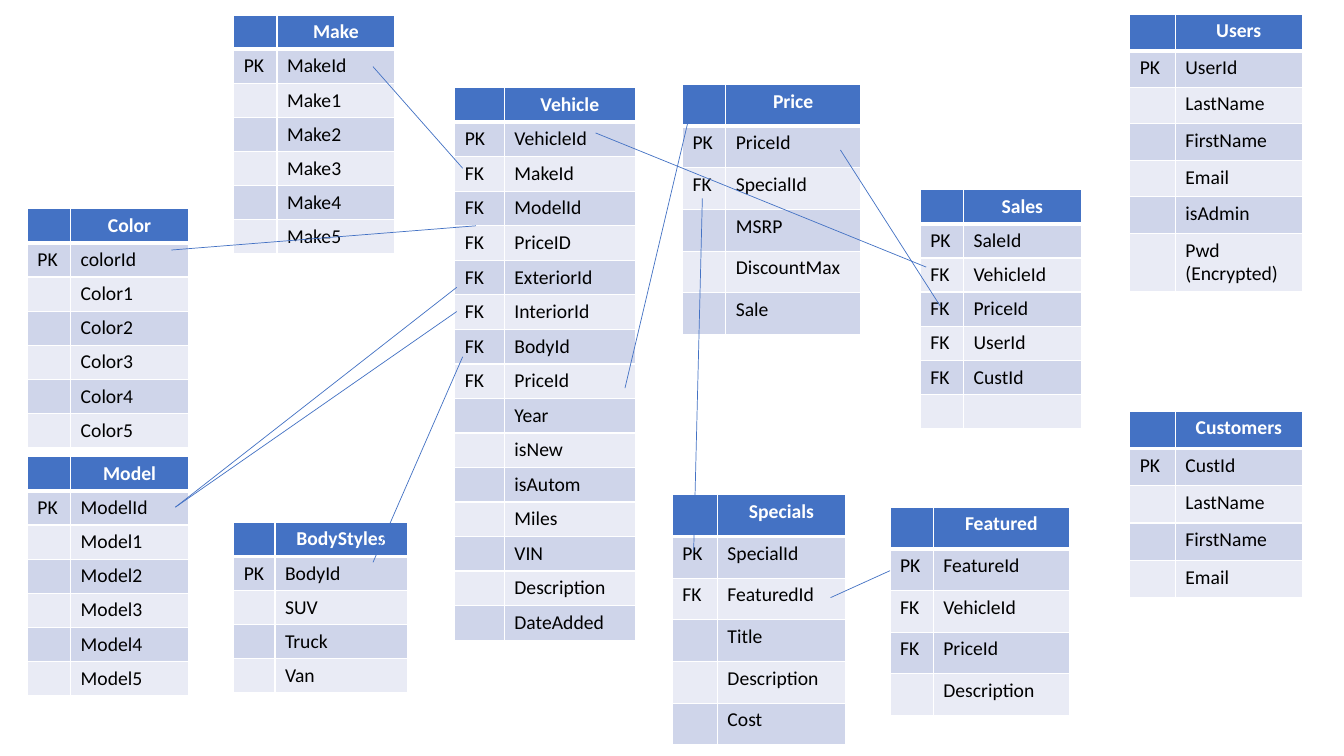
from dataclasses import dataclass
from lxml import etree
from pptx import Presentation, util as u
from pptx.dml.color import RGBColor
from pptx.enum import shapes, text
from pptx.oxml.ns import qn


@dataclass(frozen=True)
class Theme:
    font: str = "Calibri"
    size: int = 14
    blue: str = "4472C4"
    bands: tuple = ("CFD5EA", "E9EBF5")
    white: str = "FFFFFF"
    black: str = "000000"
    grid: float = 1
    header_rule: float = 3
    link: float = 0.5


T = Theme()


def rgb(value):
    return RGBColor.from_string(value)


def set_borders(cell, top, bottom):
    tc_pr = cell._tc.get_or_add_tcPr()
    sides = (("L", T.grid), ("R", T.grid), ("T", top), ("B", bottom))
    for i, (side, width) in enumerate(sides):
        ln = etree.Element(qn(f"a:ln{side}"), w=str(u.Pt(width)))
        fill = etree.SubElement(ln, qn("a:solidFill"))
        etree.SubElement(fill, qn("a:srgbClr"), val=T.white)
        tc_pr.insert(i, ln)


def write(cell, words, color, bold=False, align=None):
    p = cell.text_frame.paragraphs[0]
    if not words:
        p._p.get_or_add_endParaRPr().set("sz", str(T.size * 100))
        return
    p.alignment = align
    r = p.add_run()
    r.text = words
    r.font.name, r.font.size, r.font.bold = T.font, u.Pt(T.size), bold
    r.font.color.rgb = rgb(color)


def add_entity(s, box, name, fields, keys=1, last_height=None):
    x, y, key_width, name_width, row_height = box
    rows = len(fields) + 1
    frame = s.shapes.add_table(rows, 2, u.Cm(x), u.Cm(y),
                               u.Cm(key_width + name_width), u.Cm(row_height * rows))
    table = frame.table
    for column, width in zip(table.columns, (key_width, name_width)):
        column.width = u.Cm(width)
    for row in table.rows:
        row.height = u.Cm(row_height)
    if last_height:
        table.rows[rows - 1].height = u.Cm(last_height)

    labels = ["PK"] + ["FK"] * (keys - 1) + [""] * (len(fields) - keys)
    for i, values in enumerate([("", name), *zip(labels, fields)]):
        header = i == 0
        for j, words in enumerate(values):
            cell = table.cell(i, j)
            cell.fill.solid()
            cell.fill.fore_color.rgb = rgb(T.blue if header else T.bands[(i - 1) % 2])
            set_borders(cell, T.header_rule if i == 1 else T.grid,
                        T.header_rule if header else T.grid)
            if header:
                write(cell, words, T.white, True, text.PP_ALIGN.CENTER)
            else:
                write(cell, words, T.black)


def add_link(s, x1, y1, x2, y2):
    line = s.shapes.add_connector(shapes.MSO_CONNECTOR.STRAIGHT,
                                  u.Cm(x1), u.Cm(y1), u.Cm(x2), u.Cm(y2))
    line.line.color.rgb = rgb(T.blue)
    line.line.width = u.Pt(T.link)
    etree.SubElement(line._element.spPr, qn("a:effectLst"))


def options(key, stem):
    return [key] + [f"{stem}{n}" for n in range(1, 6)]


PERSON = ["LastName", "FirstName", "Email"]
SMALL = (1.09, 2.97, 0.86)
WIDE = (1.15, 3.2)

ENTITIES = [
    ((11.46, 2.21, 1.25, 3.3, 0.87), "Vehicle",
     ["VehicleId", "MakeId", "ModelId", "PriceID", "ExteriorId", "InteriorId", "BodyId",
      "PriceId", "Year", "isNew", "isAutom", "Miles", "VIN", "Description", "DateAdded"], 8),
    ((28.47, 0.36, *WIDE, 0.92), "Users",
     ["UserId", *PERSON, "isAdmin", "Pwd (Encrypted)"], 1, 1.46),
    ((16.94, 12.47, 1.14, 3.23, 1.05), "Specials",
     ["SpecialId", "FeaturedId", "Title", "Description", "Cost"], 2),
    ((22.43, 12.78, 1.09, 3.43, 1.05), "Featured",
     ["FeatureId", "VehicleId", "PriceId", "Description"], 3),
    ((0.69, 5.26, *SMALL), "Color", options("colorId", "Color")),
    ((5.89, 13.16, 1.04, 3.33, 0.86), "BodyStyles", ["BodyId", "SUV", "Truck", "Van"]),
    ((17.2, 2.13, 1.09, 3.4, 1.05), "Price",
     ["PriceId", "SpecialId", "MSRP", "DiscountMax", "Sale"], 2),
    ((5.89, 0.38, *SMALL), "Make", options("MakeId", "Make")),
    ((0.69, 11.51, *SMALL), "Model", options("ModelId", "Model")),
    ((23.19, 4.78, *SMALL), "Sales",
     ["SaleId", "VehicleId", "PriceId", "UserId", "CustId", ""], 5),
    ((28.47, 10.36, *WIDE, 0.94), "Customers", ["CustId", *PERSON]),
]

LINKS = [
    (15.75, 9.78, 17.42, 2.72),
    (4.42, 12.78, 11.51, 7.24),
    (9.4, 1.68, 11.66, 4.24),
    (4.32, 6.3, 11.99, 5.69),
    (4.42, 12.78, 11.51, 7.85),
    (9.4, 14.17, 11.66, 8.99),
    (17.48, 13.92, 17.7, 5),
    (15.01, 3.35, 23.34, 6.73),
    (23.7, 7.72, 21.18, 3.78),
    (22.43, 14.38, 20.93, 15.06),
]


def build_schema(prs):
    s = prs.slides.add_slide(prs.slide_layouts[6])
    for entity in ENTITIES:
        add_entity(s, *entity)
    for link in LINKS:
        add_link(s, *link)


prs = Presentation()
prs.slide_width, prs.slide_height = u.Cm(33.87), u.Cm(19.05)
build_schema(prs)
prs.save("out.pptx")
